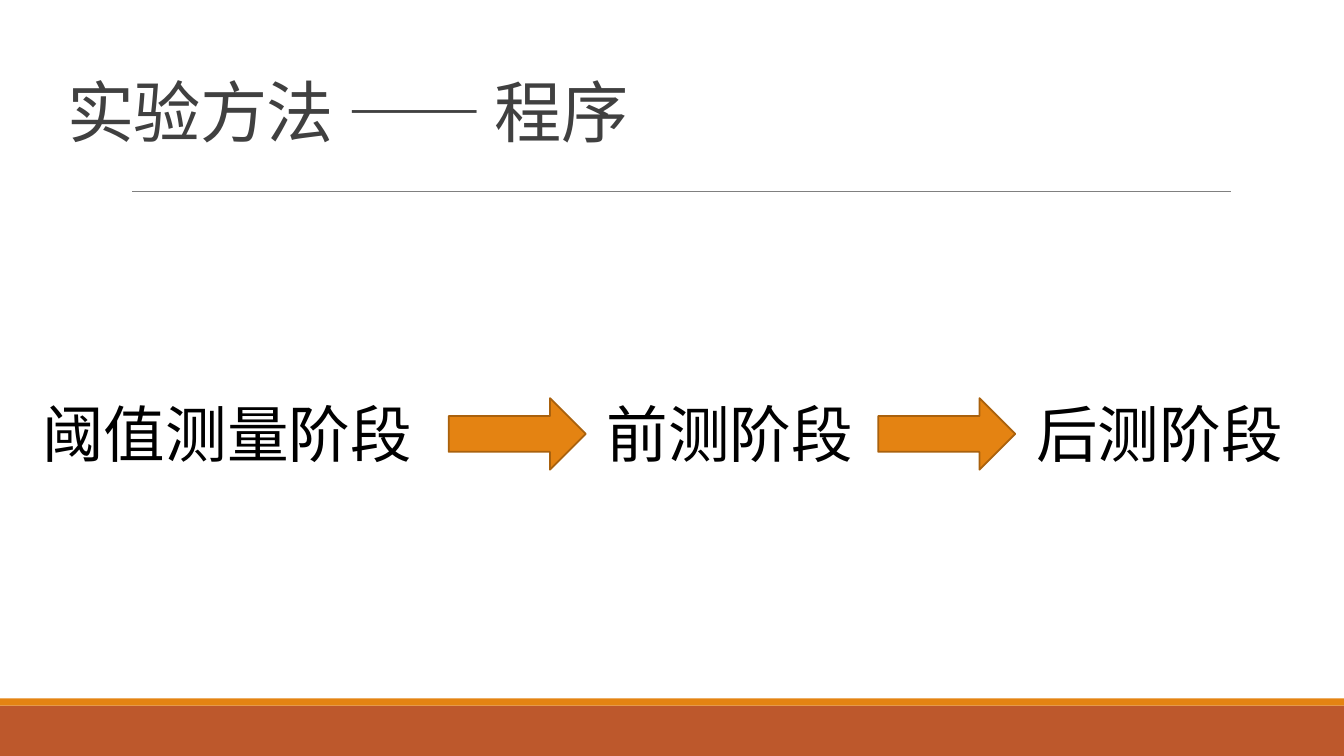
from dataclasses import dataclass

from lxml.etree import SubElement
from pptx import Presentation
from pptx.dml.color import RGBColor
from pptx.enum.lang import MSO_LANGUAGE_ID as Language
from pptx.enum.shapes import MSO_CONNECTOR as Connector, MSO_SHAPE as Shape
from pptx.enum.text import MSO_ANCHOR as Anchor, MSO_AUTO_SIZE as AutoSize, PP_ALIGN as Align
from pptx.oxml.ns import qn
from pptx.util import Inches, Pt


@dataclass(frozen=True)
class Theme:
    rust: RGBColor = RGBColor(0xBD, 0x58, 0x2C)
    orange: RGBColor = RGBColor(0xE4, 0x83, 0x12)
    arrow_edge: RGBColor = RGBColor(0xA9, 0x61, 0x0D)
    rule: RGBColor = RGBColor(0x80, 0x80, 0x80)
    title: RGBColor = RGBColor(0x40, 0x40, 0x40)
    stage: RGBColor = RGBColor(0, 0, 0)
    title_size: Pt = Pt(48)
    stage_size: Pt = Pt(44)
    latin_font: str = "Calibri"
    chinese_font: str = "Noto Sans CJK SC"


THEME = Theme()


def apply_format(target, values):
    for attribute, value in values.items():
        setattr(target, attribute, value)


def add_filled(slide, preset, box, fill, edge=None):
    """Add a flat shape, outlined only when an edge colour is given."""
    shape = slide.shapes.add_shape(preset, *map(Inches, box))
    shape.shadow.inherit = False
    shape.fill.solid()
    shape.fill.fore_color.rgb = fill
    if edge is None:
        shape.line.fill.background()
    else:
        shape.line.color.rgb = edge
        shape.line.width = Pt(1.25)


def add_rule(slide, left, right, y):
    rule = slide.shapes.add_connector(
        Connector.STRAIGHT, Inches(left), Inches(y), Inches(right), Inches(y))
    rule.line.color.rgb = THEME.rule
    rule.line.width = Pt(0.5)
    SubElement(rule._element.spPr, qn("a:effectLst"))


def add_text(slide, text, box, font, color, frame, paragraph_format, spacing=None):
    """Add one line of Chinese text; spacing is in hundredths of a point."""
    text_frame = slide.shapes.add_textbox(*map(Inches, box)).text_frame
    apply_format(text_frame, frame)
    paragraph = text_frame.paragraphs[0]
    apply_format(paragraph, paragraph_format)
    run = paragraph.add_run()
    run.text = text
    apply_format(run.font, font)
    run.font.color.rgb = color
    run.font.language_id = Language.SIMPLIFIED_CHINESE
    properties = run._r.get_or_add_rPr()
    SubElement(properties, qn("a:ea"), typeface=THEME.chinese_font)
    if spacing is not None:
        properties.set("spc", str(spacing))


def add_title(slide, text):
    add_text(
        slide, text, (0.57, 0.49, 11.56, 1.06),
        {"name": THEME.latin_font, "size": THEME.title_size}, THEME.title,
        {"word_wrap": True, "vertical_anchor": Anchor.BOTTOM},
        {"line_spacing": 0.85}, spacing=-50)


def add_stage(slide, text, left, width, align):
    add_text(
        slide, text, (left, 3.88, width, 0.84),
        {"name": THEME.chinese_font, "size": THEME.stage_size}, THEME.stage,
        {"word_wrap": False, "auto_size": AutoSize.SHAPE_TO_FIT_TEXT},
        {"alignment": align})


def main():
    deck = Presentation()
    deck.slide_width, deck.slide_height = Inches(13.33), Inches(7.5)
    slide = deck.slides.add_slide(deck.slide_layouts[6])

    add_filled(slide, Shape.RECTANGLE, (0, 7, 13.33, 0.5), THEME.rust)
    add_filled(slide, Shape.RECTANGLE, (0, 6.93, 13.33, 0.07), THEME.orange)
    add_rule(slide, 1.31, 12.21, 1.9)
    add_title(slide, "实验方法 —— 程序")

    add_stage(slide, "阈值测量阶段", 0.32, 3.88, Align.JUSTIFY)
    first_arrow, step = 4.45, 4.26
    for index, stage in enumerate(("前测阶段", "后测阶段")):
        arrow_left = first_arrow + index * step
        add_filled(slide, Shape.RIGHT_ARROW, (arrow_left, 3.95, 1.36, 0.71),
                   THEME.orange, THEME.arrow_edge)
        add_stage(slide, stage, arrow_left + 1.47, 2.66, Align.LEFT)

    deck.save("out.pptx")


if __name__ == "__main__":
    main()
